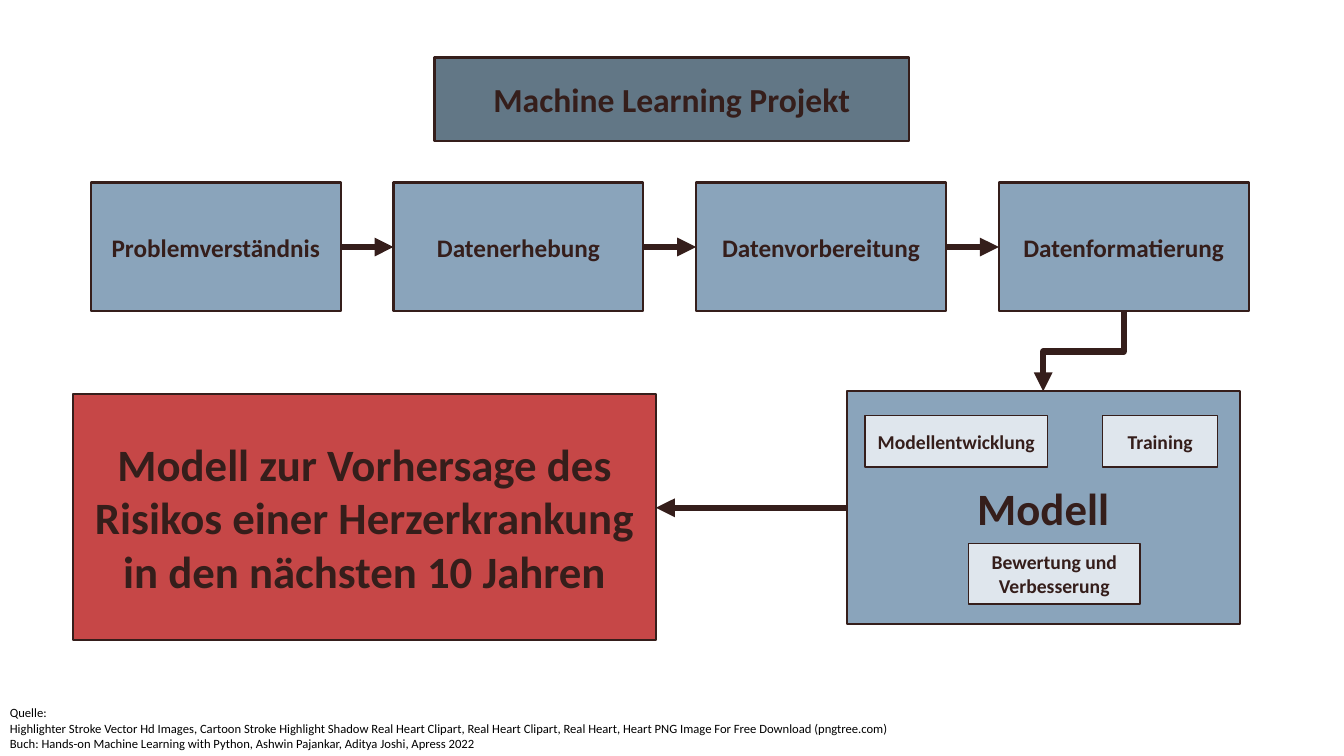
from itertools import pairwise

from lxml.etree import SubElement
from pptx import Presentation
from pptx.dml.color import RGBColor
from pptx.enum.shapes import MSO_CONNECTOR, MSO_SHAPE
from pptx.enum.text import MSO_ANCHOR, MSO_AUTO_SIZE, PP_ALIGN
from pptx.oxml.ns import qn
from pptx.util import Cm, Pt

DARK = RGBColor(0x35, 0x1E, 0x1B)
SLATE = RGBColor(0x62, 0x77, 0x86)
BLUE = RGBColor(0x8A, 0xA4, 0xBB)
PALE = RGBColor(0xDF, 0xE6, 0xED)
RED = RGBColor(0xC6, 0x47, 0x47)
BLACK = RGBColor(0, 0, 0)
FONT = "Calibri"
TOP, RIGHT, BOTTOM, LEFT = 0, 3, 2, 1  # connection sites of a rectangle

STEPS = ["Problemverständnis", "Datenerhebung", "Datenvorbereitung", "Datenformatierung"]
MODEL_PARTS = [
    ("Modellentwicklung", 0.46, 0.61, 4.6, 1.3),
    ("Training", 6.45, 0.61, 2.9, 1.3),
    ("Bewertung und Verbesserung", 3.07, 3.84, 4.32, 1.52),
]
SOURCES = [
    "Quelle:",
    "Highlighter Stroke Vector Hd Images, Cartoon Stroke Highlight Shadow Real Heart Clipart, "
    "Real Heart Clipart, Real Heart, Heart PNG Image For Free Download (pngtree.com)",
    "Buch: Hands-on Machine Learning with Python, Ashwin Pajankar, Aditya Joshi, Apress 2022",
]


def add_box(slide, text, left, top, width, height, fill, size, line_width=1.5):
    shape = slide.shapes.add_shape(MSO_SHAPE.RECTANGLE, left, top, width, height)
    shape.shadow.inherit = False
    shape.fill.solid()
    shape.fill.fore_color.rgb = fill
    shape.line.color.rgb = DARK
    shape.line.width = Pt(line_width)
    text_frame = shape.text_frame
    text_frame.word_wrap = True
    text_frame.vertical_anchor = MSO_ANCHOR.MIDDLE
    text_frame.text = text
    paragraph = text_frame.paragraphs[0]
    paragraph.alignment = PP_ALIGN.CENTER
    font = paragraph.runs[0].font
    font.name, font.size, font.bold = FONT, Pt(size), True
    font.color.rgb = DARK
    return shape


def add_arrow(slide, kind, start_x, start_y, end_x, end_y):
    arrow = slide.shapes.add_connector(kind, start_x, start_y, end_x, end_y)
    arrow.line.color.rgb = DARK
    arrow.line.width = Pt(4.5)
    SubElement(arrow.line._get_or_add_ln(), qn("a:tailEnd"), type="triangle")
    SubElement(arrow._element.spPr, qn("a:effectLst"))
    return arrow


def add_steps(slide, left, top, width, height):
    """Place the process steps in a row, joined by arrows, and return them."""
    box_width = Cm(6.3)
    pitch = (width - box_width) // (len(STEPS) - 1)
    boxes = [
        add_box(slide, text, left + index * pitch, top, box_width, height, BLUE, 18)
        for index, text in enumerate(STEPS)
    ]
    for first, second in pairwise(boxes):
        arrow = add_arrow(slide, MSO_CONNECTOR.STRAIGHT, left, top, left, top)
        arrow.begin_connect(first, RIGHT)
        arrow.end_connect(second, LEFT)
    return boxes


def add_model(slide, left, top, width, height):
    model = add_box(slide, "Modell", left, top, width, height, BLUE, 32)
    for text, part_left, part_top, part_width, part_height in MODEL_PARTS:
        add_box(slide, text, left + Cm(part_left), top + Cm(part_top),
                Cm(part_width), Cm(part_height), PALE, 14, 1)
    return model


def add_elbow_down(slide, upper, lower):
    """Lead from the bottom of one box to the top of a box further left."""
    start_x, start_y = upper.left + upper.width // 2, upper.top + upper.height
    end_x, end_y = lower.left + lower.width // 2, lower.top
    center_x, center_y = (start_x + end_x) // 2, (start_y + end_y) // 2
    half_run, half_drop = (start_x - end_x) // 2, (end_y - start_y) // 2
    # A quarter turn makes the elbow leave and arrive vertically.
    arrow = add_arrow(slide, MSO_CONNECTOR.ELBOW,
                      center_x - half_drop, center_y - half_run,
                      center_x + half_drop, center_y + half_run)
    arrow._element.spPr.find(qn("a:xfrm")).set("rot", str(90 * 60000))


def add_sources(slide, left, top, width, height):
    text_frame = slide.shapes.add_textbox(left, top, width, height).text_frame
    text_frame.word_wrap = False
    text_frame.auto_size = MSO_AUTO_SIZE.SHAPE_TO_FIT_TEXT
    text_frame.text = "\n".join(SOURCES)
    for paragraph in text_frame.paragraphs:
        font = paragraph.runs[0].font
        font.name, font.size = FONT, Pt(9)
        font.color.rgb = BLACK


def main():
    presentation = Presentation()
    presentation.slide_width, presentation.slide_height = Cm(33.87), Cm(19.05)
    slide = presentation.slides.add_slide(presentation.slide_layouts[6])

    add_box(slide, "Machine Learning Projekt",
            Cm(10.95), Cm(1.45), Cm(11.96), Cm(2.11), SLATE, 24)
    steps = add_steps(slide, Cm(2.29), Cm(4.6), Cm(29.18), Cm(3.25))
    model = add_model(slide, Cm(21.34), Cm(9.86), Cm(9.9), Cm(5.87))
    result = add_box(slide, "Modell zur Vorhersage des Risikos einer Herzerkrankung "
                     "in den nächsten 10 Jahren",
                     Cm(1.85), Cm(9.93), Cm(14.68), Cm(6.2), RED, 32)
    add_elbow_down(slide, steps[-1], model)
    middle = model.top + model.height // 2
    add_arrow(slide, MSO_CONNECTOR.STRAIGHT, model.left, middle,
              result.left + result.width, middle)
    add_sources(slide, Cm(0), Cm(17.65), Cm(22.91), Cm(1.42))

    presentation.save("out.pptx")


if __name__ == "__main__":
    main()
